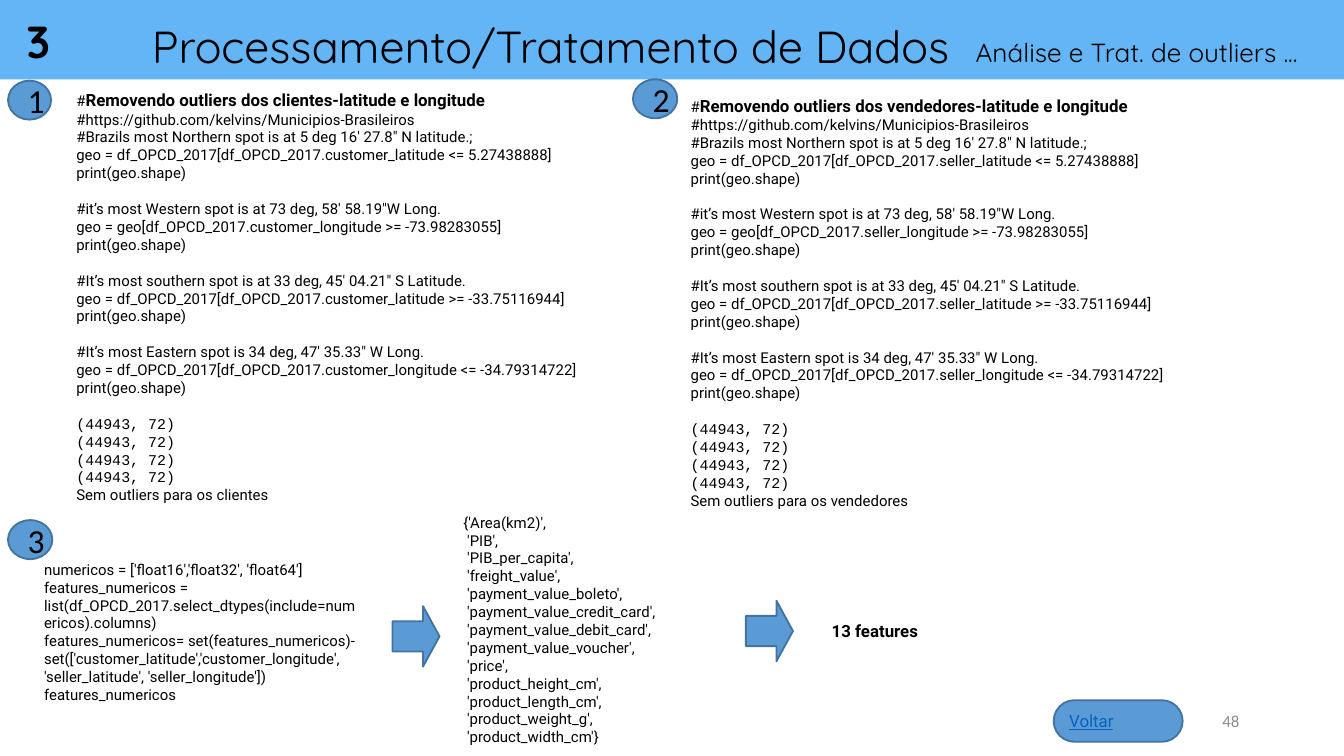
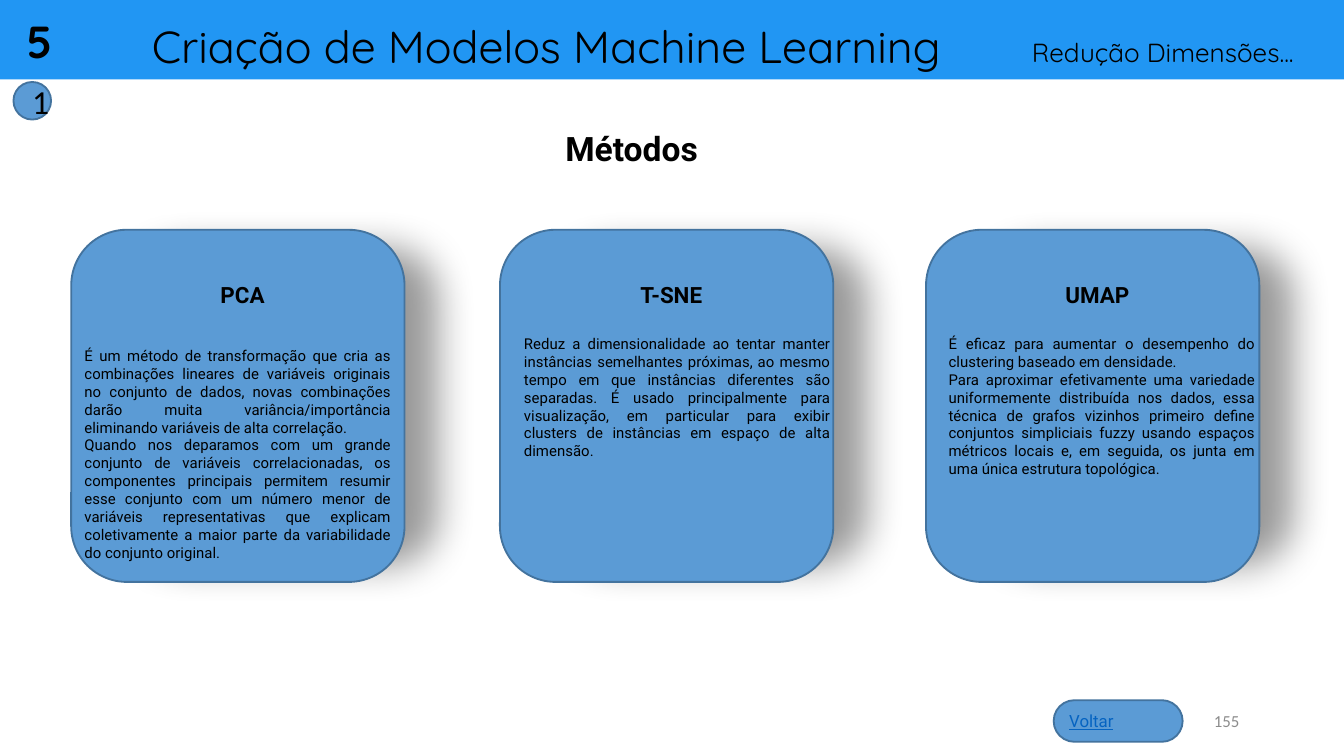
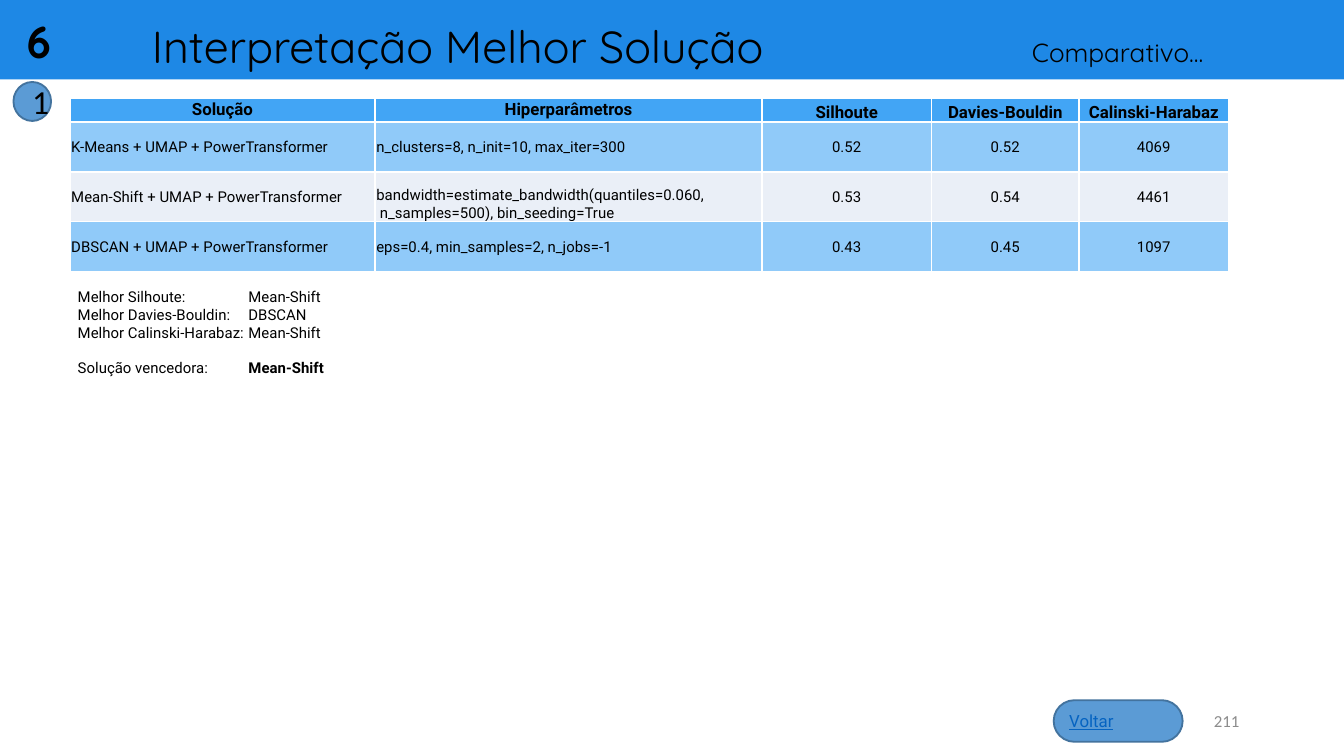
from lxml import etree
from pptx import Presentation
from pptx.dml.color import RGBColor
from pptx.enum.shapes import MSO_SHAPE
from pptx.enum.text import MSO_ANCHOR, MSO_AUTO_SIZE, PP_ALIGN
from pptx.oxml import parse_xml
from pptx.oxml.ns import nsdecls, qn
from pptx.util import Pt

RECT, OVAL = MSO_SHAPE.RECTANGLE, MSO_SHAPE.OVAL
ROUND, PILL = MSO_SHAPE.ROUNDED_RECTANGLE, MSO_SHAPE.ROUND_2_SAME_RECTANGLE
ARROW = MSO_SHAPE.DOWN_ARROW
LEFT, RIGHT = PP_ALIGN.LEFT, PP_ALIGN.RIGHT
CENTER, JUSTIFY = PP_ALIGN.CENTER, PP_ALIGN.JUSTIFY
TOP, MIDDLE, BOTTOM = MSO_ANCHOR.TOP, MSO_ANCHOR.MIDDLE, MSO_ANCHOR.BOTTOM
GROW = MSO_AUTO_SIZE.SHAPE_TO_FIT_TEXT
NONE = MSO_AUTO_SIZE.NONE

PX = 9144
COLORS = {
    "ink": "000000", "page": "8C8C8C", "link": "0563C1", "white": "FFFFFF",
    "shape": "5B9BD5", "edge": "43739E", "data": "64B5F6", "model": "2196F3",
    "result": "1E88E5", "head": "42A5F5", "odd": "90CAF9", "even": "EAEFF7",
}


def px(*values):
    return [value * PX for value in values]


def rgb(name):
    return RGBColor.from_string(COLORS[name])


def style(run, size=8, font="Roboto", color="ink", bold=False, under=False):
    run.font.size, run.font.name = Pt(size), font
    run.font.bold, run.font.underline = bold, under
    run.font.color.rgb = rgb(color)


def write(frame, lines, align=LEFT, anchor=TOP, wrap=True, inset=(10, 5, 10, 5),
          tab=0, **format):
    """Fill a frame; an empty line becomes space before the next paragraph."""
    frame.word_wrap, frame.vertical_anchor = wrap, anchor
    (frame.margin_left, frame.margin_top,
     frame.margin_right, frame.margin_bottom) = px(*inset)
    gap, para = 0, None
    for line in [lines] if isinstance(lines, str) else lines:
        if not line:
            gap = 9.6
            continue
        para = frame.add_paragraph() if para else frame.paragraphs[0]
        para.alignment = align
        if tab:
            stops = etree.SubElement(para._p.get_or_add_pPr(), qn("a:tabLst"))
            etree.SubElement(stops, qn("a:tab"), pos=str(tab * PX), algn="l")
        if gap:
            para.space_before, gap = Pt(gap), 0
        for text, extra in [(line, {})] if isinstance(line, str) else line:
            look = {**format, **extra}
            for index, part in enumerate(text.split("\n")):
                if index:
                    para.add_line_break()
                    etree.SubElement(para._p[-1], qn("a:rPr"),
                                     sz=str(look["size"] * 100))
                run = para.add_run()
                run.text = part
                style(run, **look)


class Deck:
    """Hold the shared style and the slide being built."""

    def __init__(self):
        self.file = Presentation()
        self.file.slide_width = 1000 * PX
        self.file.slide_height = self.file.slide_width * 9 // 16
        self.slide = None

    def start(self, number, title, width, topic, spot, band, page):
        self.slide = self.file.slides.add_slide(self.file.slide_layouts[5])
        head = self.slide.shapes.title
        head.left, head.top, head.width, head.height = px(103, 9, width, 50)
        write(head.text_frame, title, anchor=MIDDLE, size=24, font="Quicksand")
        head.text_frame.auto_size = NONE
        bar = self.shape(RECT, 0, 0, 1000, 59, band, edge=None)
        head._element.addprevious(bar._element)
        self.text(number, 10, 5, 43, 50, size=24, font="Quicksand", bold=True,
                  wrap=False)
        self.text(topic, *spot, size=14, font="Quicksand")
        button = self.shape(PILL, 784, 521, 96, 31, adjust=(0.5, 0.5))
        write(button.text_frame, "Voltar", anchor=MIDDLE, inset=(7, 4, 7, 4),
              size=9, color="link", under=True)
        self.text(page, 888, 521, 44, 30, grow=False, align=RIGHT,
                  anchor=MIDDLE, size=9, font="Calibri", color="page")

    def text(self, lines, left, top, width, height, grow=True, **format):
        box = self.slide.shapes.add_textbox(*px(left, top, width, height))
        write(box.text_frame, lines, **format)
        if grow:
            box.text_frame.auto_size = GROW

    def shape(self, kind, left, top, width, height, fill="shape", edge="edge",
              adjust=(), turn=0):
        item = self.slide.shapes.add_shape(kind, *px(left, top, width, height))
        item.shadow.inherit = False
        item.fill.solid()
        item.fill.fore_color.rgb = rgb(fill)
        if edge:
            item.line.color.rgb, item.line.width = rgb(edge), Pt(1)
        else:
            item.line.fill.background()
        for index, value in enumerate(adjust):
            item.adjustments[index] = value
        item.rotation = turn
        return item

    def badge(self, number, left, top, width, height):
        disc = self.shape(OVAL, left, top, width, height)
        write(disc.text_frame, number, align=CENTER, anchor=MIDDLE, size=18,
              font="Calibri")

    def arrow(self, left, top):
        self.shape(ARROW, left, top, 45, 35, adjust=(0.5, 0.35), turn=270)

    def card(self, name, lines, left, shift, top, height):
        panel = self.shape(ROUND, left, 171, 248, 262)
        effects = panel._element.spPr.find(qn("a:effectLst"))
        effects.append(parse_xml(
            f'<a:outerShdw {nsdecls("a")} blurRad="{Pt(21)}" dist="{Pt(35)}" '
            'dir="0" sx="90000" sy="90000" algn="l" rotWithShape="0">'
            f'<a:srgbClr val="{COLORS["ink"]}"><a:alpha val="40000"/>'
            '</a:srgbClr></a:outerShdw>'))
        self.text(name, left + 7, 204, 241, 30, align=CENTER, size=12, bold=True)
        self.text(lines, left + shift, top, 248, height, align=JUSTIFY)

    def table(self, rows, left, top, widths, heights):
        frame = self.slide.shapes.add_table(
            len(rows), len(widths), *px(left, top, sum(widths), sum(heights)))
        grid = frame.table
        for column, width in zip(grid.columns, widths):
            column.width = width * PX
        for y, (row, height) in enumerate(zip(rows, heights)):
            grid.rows[y].height = height * PX
            for x, value in enumerate(row):
                self.cell(grid.cell(y, x), value, y, x)

    def cell(self, cell, value, y, x):
        props = cell._tc.get_or_add_tcPr()
        for side in "LRTB":
            props.append(parse_xml(
                f'<a:ln{side} {nsdecls("a")} w="{Pt(1)}"><a:solidFill>'
                f'<a:srgbClr val="{COLORS["white"]}"/></a:solidFill></a:ln{side}>'))
        cell.fill.solid()
        cell.fill.fore_color.rgb = rgb("head" if y == 0 else "odd" if y % 2 else "even")
        if y == 0:
            anchor = TOP if x < 2 else BOTTOM
        else:
            anchor = BOTTOM if "\n" in value else MIDDLE
        write(cell.text_frame, value, align=CENTER if y == 0 or x > 1 else LEFT,
              size=8 if y else 9, bold=y == 0)
        cell.vertical_anchor = anchor
        (cell.margin_left, cell.margin_top,
         cell.margin_right, cell.margin_bottom) = px(1, 1, 1, 0)


def code(group, field):
    checks = (
        ("#Brazils most Northern spot is at 5 deg 16′ 27.8″ N latitude.;",
         "df_OPCD_2017", "latitude <= 5.27438888"),
        ("#it’s most Western spot is at 73 deg, 58′ 58.19″W Long.",
         "geo", "longitude >= -73.98283055"),
        ("#It’s most southern spot is at 33 deg, 45′ 04.21″ S Latitude.",
         "df_OPCD_2017", "latitude >= -33.75116944"),
        ("#It’s most Eastern spot is 34 deg, 47′ 35.33″ W Long.",
         "df_OPCD_2017", "longitude <= -34.79314722"),
    )
    lines = [
        [("#", {}), (f"Removendo outliers dos {group}-latitude e longitude",
                     {"size": 9, "bold": True})],
        "#https://github.com/kelvins/Municipios-Brasileiros",
    ]
    for note, frame, test in checks:
        lines += [note, f"geo = {frame}[df_OPCD_2017.{field}_{test}]",
                  "print(geo.shape)", ""]
    lines += [[("(44943, 72)", {"font": "Courier New"})]] * 4
    return lines + [f"Sem outliers para os {group}"]


def outliers(deck):
    deck.start("3", "Processamento/Tratamento de Dados", 619,
               "Análise e Trat. de outliers ...", (716, 22, 271, 34), "data", "48")
    deck.text(code("clientes", "customer"), 47, 62, 397, 321)
    deck.badge("1", 6, 60, 32, 29)
    deck.text(code("vendedores", "seller"), 504, 66, 375, 333, wrap=False)
    deck.badge("2", 471, 59, 33, 29)
    deck.text([
        "numericos = ['float16','float32', 'float64']",
        "features_numericos = list(df_OPCD_2017.select_dtypes(include=numericos).columns)",
        "features_numericos= set(features_numericos)- set(['customer_latitude',"
        "'customer_longitude', 'seller_latitude', 'seller_longitude'])",
        "features_numericos"], 23, 412, 254, 118)
    deck.text([
        "{'Area(km2)',", " 'PIB',", " 'PIB_per_capita',", " 'freight_value',",
        " 'payment_value_boleto',", " 'payment_value_credit_card',",
        " 'payment_value_debit_card',", " 'payment_value_voucher',", " 'price',",
        " 'product_height_cm',", " 'product_length_cm',", " 'product_weight_g',",
        " 'product_width_cm'}"], 335, 377, 169, 185)
    deck.arrow(287, 456)
    deck.arrow(550, 452)
    deck.text("13 features", 609, 457, 114, 25, size=9, bold=True)
    deck.badge("3", 6, 387, 33, 29)


def methods(deck):
    deck.start("5", "Criação de Modelos Machine Learning", 613,
               "Redução Dimensões...", (758, 22, 229, 57), "model", "155")
    deck.badge("1", 10, 61, 28, 28)
    deck.card("PCA", [
        "É um método de transformação que cria as combinações lineares de variáveis "
        "originais no conjunto de dados, novas combinações darão muita "
        "variância/importância eliminando variáveis de alta correlação.",
        "Quando nos deparamos com um grande conjunto de variáveis correlacionadas, "
        "os componentes principais permitem resumir esse conjunto com um número "
        "menor de variáveis representativas que explicam coletivamente a maior "
        "parte da variabilidade do conjunto original."], 53, 0, 253, 172)
    deck.card("T-SNE", [
        "Reduz a dimensionalidade ao tentar manter instâncias semelhantes próximas, "
        "ao mesmo tempo em que instâncias diferentes são separadas. É usado "
        "principalmente para visualização, em particular para exibir clusters de "
        "instâncias em espaço de alta dimensão."], 372, 8, 244, 131)
    deck.card("UMAP", [
        "É eficaz para aumentar o desempenho do clustering baseado em densidade.",
        "Para aproximar efetivamente uma variedade uniformemente distribuída nos "
        "dados, essa técnica de grafos vizinhos primeiro define conjuntos simpliciais "
        "fuzzy usando espaços métricos locais e, em seguida, os junta em uma única "
        "estrutura topológica."], 689, 7, 244, 118)
    deck.text("Métodos", 410, 90, 120, 40, align=CENTER, wrap=False, size=18,
              bold=True)


def results(deck):
    deck.start("6", "Interpretação Melhor Solução", 486,
               "Comparativo...", (758, 22, 229, 57), "result", "211")
    deck.badge("1", 10, 61, 28, 29)
    deck.table([
        ("Solução", "Hiperparâmetros", "Silhoute", "Davies-Bouldin",
         "Calinski-Harabaz"),
        ("K-Means + UMAP + PowerTransformer",
         "n_clusters=8, n_init=10, max_iter=300", "0.52", "0.52", "4069"),
        ("Mean-Shift + UMAP + PowerTransformer",
         "bandwidth=estimate_bandwidth(quantiles=0.060,\n"
         " n_samples=500), bin_seeding=True", "0.53", "0.54", "4461"),
        ("DBSCAN + UMAP + PowerTransformer",
         "eps=0.4, min_samples=2, n_jobs=-1", "0.43", "0.45", "1097"),
    ], 52, 73, (227, 288, 126, 110, 111), (18, 37, 37, 37))
    deck.text([
        "Melhor Silhoute:\tMean-Shift", "Melhor Davies-Bouldin:\tDBSCAN",
        "Melhor Calinski-Harabaz:\tMean-Shift", "",
        [("Solução vencedora:\t", {}), ("Mean-Shift", {"bold": True})],
    ], 48, 209, 209, 77, tab=127)


def main():
    deck = Deck()
    outliers(deck)
    methods(deck)
    results(deck)
    deck.file.save("out.pptx")


if __name__ == "__main__":
    main()
